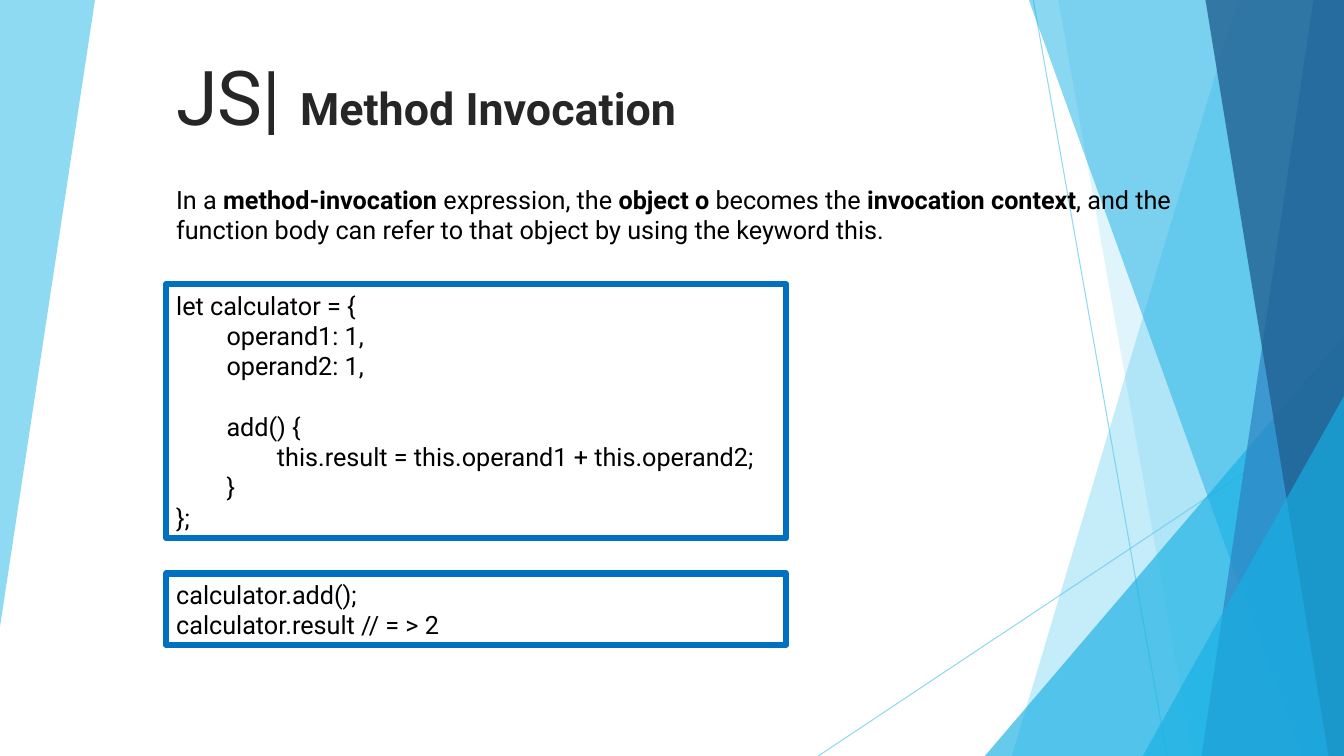
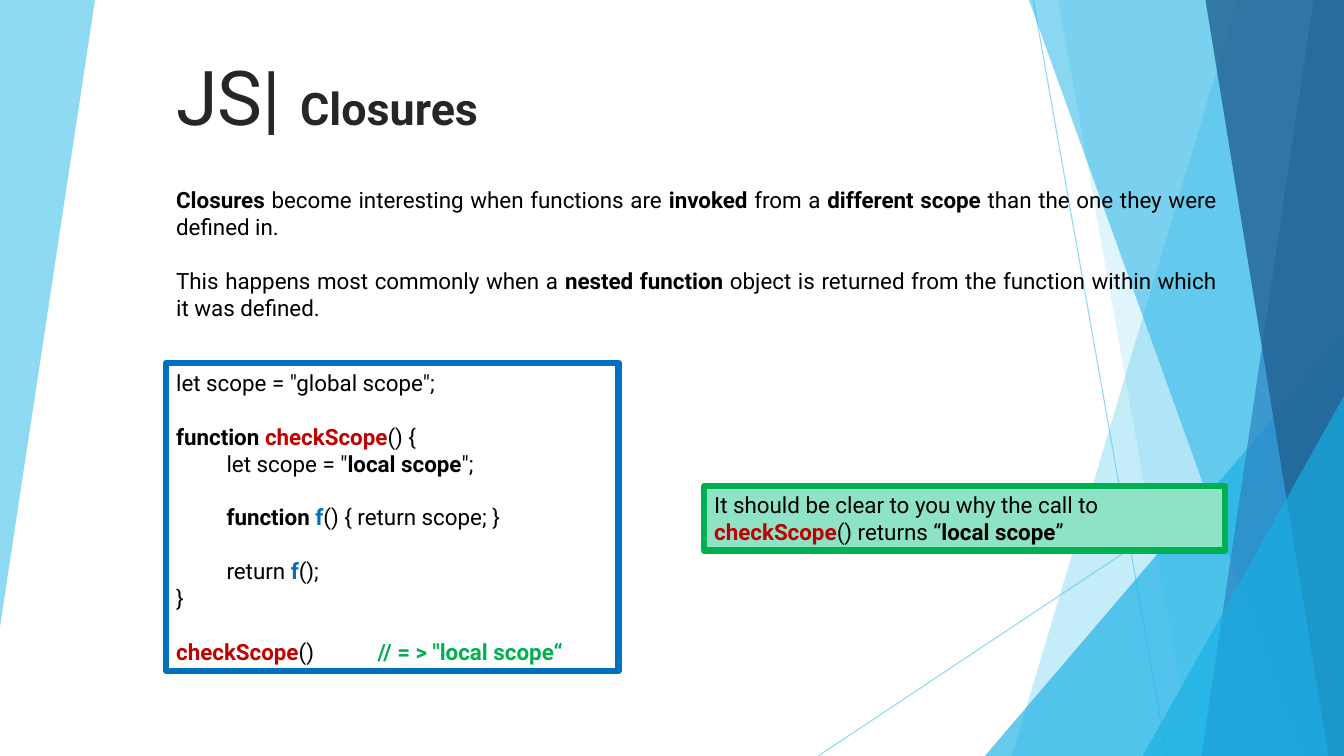
from dataclasses import dataclass
from typing import NamedTuple

from lxml.etree import SubElement
from pptx import Presentation
from pptx.dml.color import RGBColor
from pptx.enum.shapes import MSO_CONNECTOR, MSO_SHAPE
from pptx.enum.text import MSO_ANCHOR as ANCHOR, MSO_AUTO_SIZE as AUTOSIZE, PP_ALIGN as ALIGN
from pptx.oxml.ns import qn
from pptx.util import Cm, Pt

FONT = "Roboto"
W, H = 33.87, 19.05
LEFT = 4.19
INDENT = 1.27
COMMENT_TAB = 5.08
LINE_HEIGHT = 1.2
BLACK, DARK, RED, BLUE, GREEN = "000000", "262626", "C00000", "0070C0", "00B050"
MINT, SKY, CYAN, MID, NAVY = "8EE3C7", "5FCBEF", "17B0E4", "2E83C3", "226292"


class Run(NamedTuple):
    text: str
    bold: bool = False
    color: str = BLACK
    size: float | None = None


class Para(NamedTuple):
    runs: list[Run]
    level: int = 0
    gap: bool = False


@dataclass
class Box:
    left: float
    top: float
    width: float
    height: float
    size: float
    paras: list[Para]
    border: str | None = None
    fill: str | None = None
    align: ALIGN = ALIGN.LEFT


@dataclass
class Page:
    title: str
    boxes: list[Box]


class Panel(NamedTuple):
    points: list[tuple[float, float]]
    color: str
    alpha: int


class Corner(NamedTuple):
    left: float
    top: float


class Ray(NamedTuple):
    start: tuple[float, float]
    end: tuple[float, float]


def band(top_x: float, bottom_x: float, color: str, alpha: int) -> Panel:
    return Panel([(top_x, 0), (W, 0), (W, H), (bottom_x, H)], color, alpha)


DECOR = [
    Panel([(0, 0), (2.39, 0), (2.39, 0.03), (0, 15.8)], SKY, 70),
    Ray((26.04, 0), (29.41, H)),
    Ray((W, 10.24), (20.62, H)),
    band(31.19, 25.5, SKY, 36),
    band(26.67, 30.05, SKY, 20),
    Corner(24.82, 8.46),
    band(25.93, 32.79, CYAN, 50),
    band(33.1, 30.28, MID, 70),
    band(30.38, 33.48, NAVY, 80),
    Corner(28.8, 9.98),
]


def rgb(color: str) -> RGBColor:
    return RGBColor.from_string(color)


def bold(text: str, color: str = BLACK) -> Run:
    return Run(text, True, color)


def line(*runs: Run | str, level: int = 0, gap: bool = False) -> Para:
    return Para([Run(r) if isinstance(r, str) else r for r in runs], level, gap)


def set_all(target, values: dict) -> None:
    for name, value in values.items():
        setattr(target, name, value)


def set_alpha(sp, alpha: int) -> None:
    for color in list(sp.element.iter(qn("a:srgbClr"))):
        SubElement(color, qn("a:alpha"), val=str(alpha * 1000))


def paint(sp, color: str, alpha: int) -> None:
    sp.shadow.inherit = False
    sp.fill.solid()
    sp.fill.fore_color.rgb = rgb(color)
    sp.line.fill.background()
    set_alpha(sp, alpha)


def draw_decor(s, item: Panel | Corner | Ray) -> None:
    if isinstance(item, Panel):
        first, *rest = [(Cm(x), Cm(y)) for x, y in item.points]
        builder = s.shapes.build_freeform(*first, scale=1.0)
        builder.add_line_segments(rest, close=True)
        paint(builder.convert_to_shape(), item.color, item.alpha)
    elif isinstance(item, Corner):
        sp = s.shapes.add_shape(MSO_SHAPE.ISOSCELES_TRIANGLE, Cm(item.left), Cm(item.top),
                                Cm(W - item.left), Cm(H - item.top))
        sp.adjustments[0] = 1
        paint(sp, CYAN, 66)
    else:
        sp = s.shapes.add_connector(MSO_CONNECTOR.STRAIGHT, *map(Cm, item.start + item.end))
        sp.line.width = Pt(0.75)
        sp.line.color.rgb = rgb(SKY)
        set_alpha(sp, 70)
        SubElement(sp.element.spPr, qn("a:effectLst"))


def move_decor_to_layout(s) -> None:
    tree = s.slide_layout.shapes.element
    decor = [sp for sp in s.shapes if not sp.is_placeholder]
    for i, sp in enumerate(decor):
        for props in sp.element.iter(qn("p:cNvPr")):
            props.set("id", str(20 + i))
        tree.insert(2 + i, sp.element)


def write_runs(p, runs: list[Run], size: float) -> None:
    for run in runs:
        r = p.add_run()
        r.text = run.text
        set_all(r.font, {"name": FONT, "size": Pt(run.size or size), "bold": run.bold})
        r.font.color.rgb = rgb(run.color)


def write_para(p, para: Para, box: Box) -> None:
    p.alignment = box.align
    if para.gap:
        p.space_before = Pt(box.size * LINE_HEIGHT)
    props = p._p.get_or_add_pPr()
    if para.level:
        props.set("marL", str(Cm(INDENT * para.level)))
    if any("\t" in run.text for run in para.runs):
        tabs = SubElement(props, qn("a:tabLst"))
        SubElement(tabs, qn("a:tab"), pos=str(Cm(COMMENT_TAB)), algn="l")
    write_runs(p, para.runs, box.size)


def draw_box(s, box: Box) -> None:
    place = [Cm(v) for v in (box.left, box.top, box.width, box.height)]
    if box.border:
        sp = s.shapes.add_shape(MSO_SHAPE.RECTANGLE, *place)
        sp.shadow.inherit = False
        sp.line.color.rgb = rgb(box.border)
        sp.line.width = Pt(4.5)
        if box.fill:
            sp.fill.solid()
            sp.fill.fore_color.rgb = rgb(box.fill)
        else:
            sp.fill.background()
    else:
        sp = s.shapes.add_textbox(*place)
    tf = sp.text_frame
    set_all(tf, {"word_wrap": True, "auto_size": AUTOSIZE.SHAPE_TO_FIT_TEXT,
                 "vertical_anchor": ANCHOR.MIDDLE if box.border else ANCHOR.TOP})
    for i, para in enumerate(box.paras):
        write_para(tf.add_paragraph() if i else tf.paragraphs[0], para, box)


def write_title(s, text: str) -> None:
    sp = s.shapes.title
    set_all(sp, {"left": Cm(LEFT), "top": Cm(0.97), "width": Cm(21.56), "height": Cm(2.69)})
    tf = sp.text_frame
    set_all(tf, {"word_wrap": True, "auto_size": AUTOSIZE.NONE, "vertical_anchor": ANCHOR.BOTTOM})
    p = tf.paragraphs[0]
    p.alignment = ALIGN.LEFT
    write_runs(p, [Run("JS| ", False, DARK, 54), bold(text, DARK)], 32)


PAGES = [
    Page("Method Invocation", [
        Box(LEFT, 4.52, 26.72, 1.8, 18, [
            line("In a ", bold("method-invocation"), " expression, the ", bold("object o"),
                 " becomes the ", bold("invocation context"),
                 ", and the function body can refer to that object by using the keyword this."),
        ]),
        Box(LEFT, 7.16, 15.62, 6.4, 18, [
            line("let calculator = {"),
            line("operand1: 1,", level=1),
            line("operand2: 1,", level=1),
            line("add() {", level=1, gap=True),
            line("this.result = this.operand1 + this.operand2;", level=2),
            line("}", level=1),
            line("};"),
        ], BLUE),
        Box(LEFT, 14.45, 15.62, 1.8, 18, [
            line("calculator.add();"),
            line("calculator.result // = > 2"),
        ], BLUE),
    ]),
    Page("Closures", [
        Box(LEFT, 4.57, 26.72, 3.68, 16, [
            line(bold("Closures "), "become interesting when functions are ", bold("invoked "),
                 "from a ", bold("different scope"), " than the one they were defined in."),
            line("This happens most commonly when a ", bold("nested function "),
                 "object is returned from the function within which it was defined.", gap=True),
        ], align=ALIGN.JUSTIFY),
        Box(LEFT, 9.14, 11.4, 7.77, 16, [
            line('let scope = "global scope";'),
            line(bold("function "), bold("checkScope", RED), "() {", gap=True),
            line('let scope = "', bold("local scope"), '";', level=1),
            line(bold("function "), bold("f", BLUE), "() { return scope; }", level=1, gap=True),
            line("return ", bold("f", BLUE), "();", level=1, gap=True),
            line("}"),
            line(bold("checkScope", RED), "()\t", bold('// = > "local scope“', GREEN), gap=True),
        ], BLUE),
        Box(17.75, 12.24, 13.13, 1.63, 16, [
            line("It should be clear to you why the call to ", bold("checkScope", RED),
                 "() returns “", bold("local scope"), "”"),
        ], GREEN, MINT),
    ]),
]


def main() -> None:
    prs = Presentation()
    set_all(prs, {"slide_width": Cm(W), "slide_height": Cm(H)})
    layout = prs.slide_layouts[5]
    for i, page in enumerate(PAGES):
        s = prs.slides.add_slide(layout)
        if i == 0:
            for item in DECOR:
                draw_decor(s, item)
            move_decor_to_layout(s)
        write_title(s, page.title)
        for box in page.boxes:
            draw_box(s, box)
    prs.save("out.pptx")


main()
